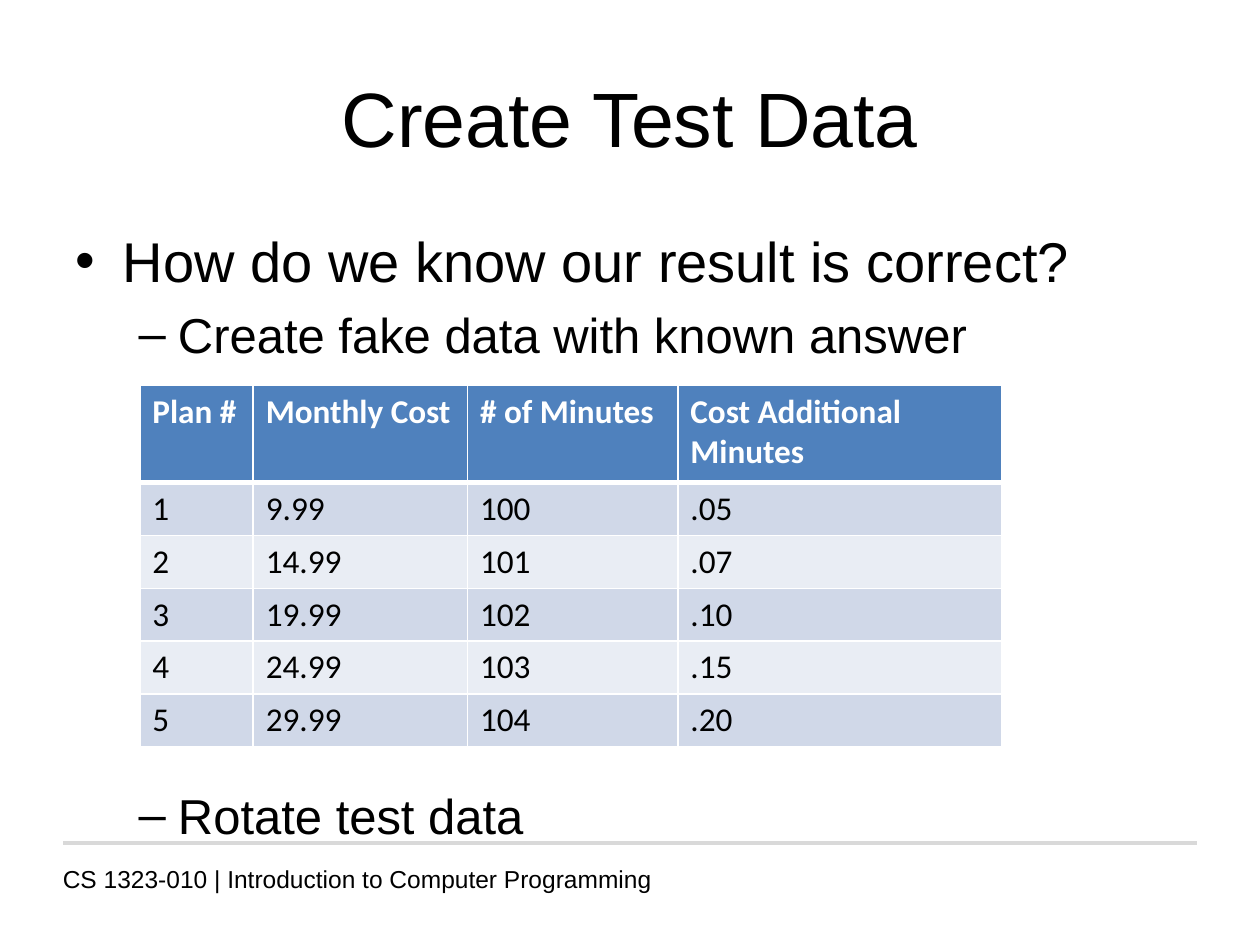
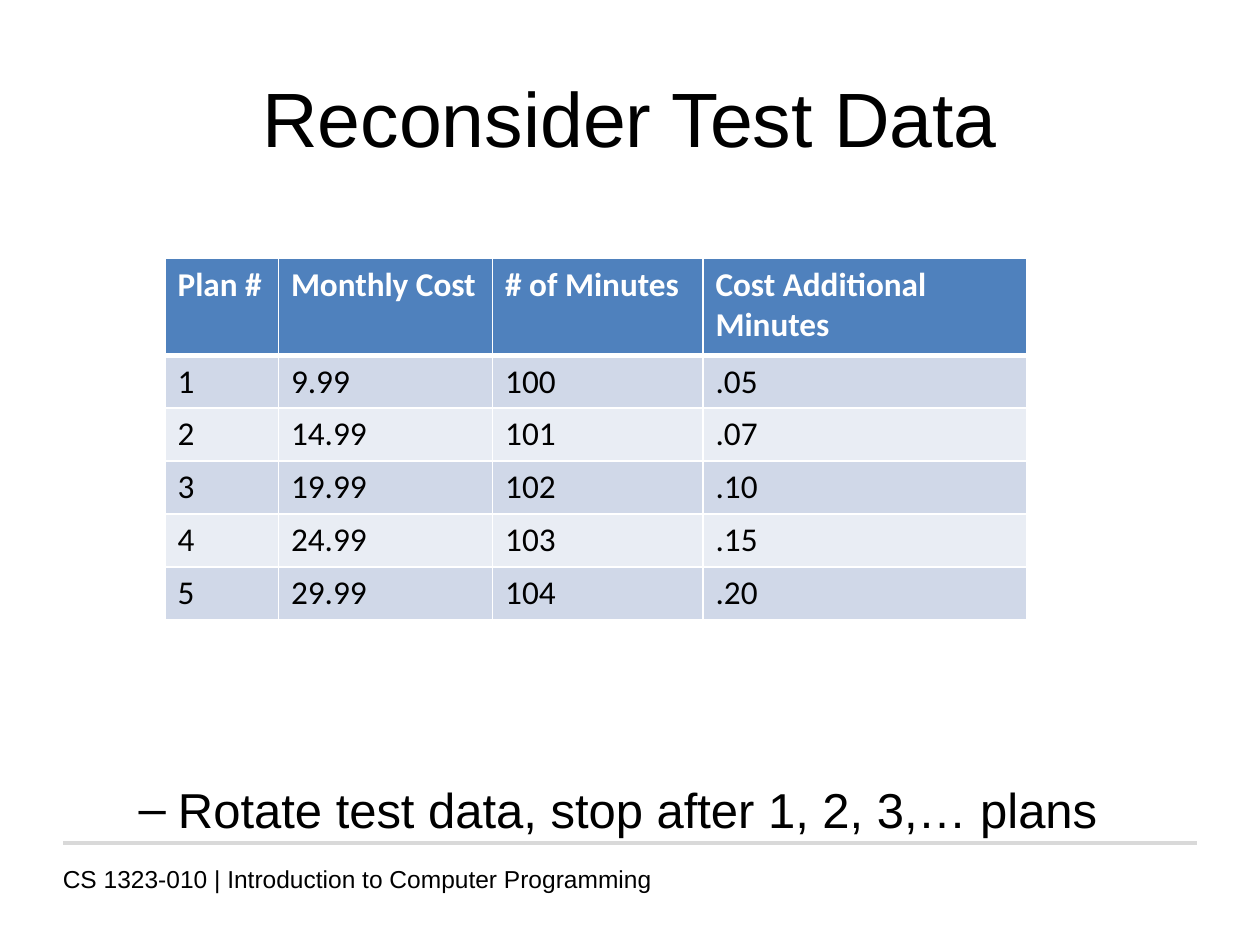
"""Two lecture slides on choosing test data for phone plans."""
from lxml import etree
from pptx import Presentation
from pptx import util as u
from pptx.dml.color import RGBColor
from pptx.enum import shapes, text
from pptx.oxml import ns

BLACK = RGBColor(0x00, 0x00, 0x00)
WHITE = RGBColor(0xFF, 0xFF, 0xFF)
RULE_GREY = RGBColor(0xD9, 0xD9, 0xD9)
HEADER_BLUE = RGBColor(0x4F, 0x81, 0xBD)
BANDS = (RGBColor(0xD0, 0xD8, 0xE8), RGBColor(0xE9, 0xED, 0xF4))

WIDTH, HEIGHT = u.Inches(10), u.Inches(7.5)
MARGIN = 0.05
CONTENT = 1 - 2 * MARGIN

TITLE = {"name": "Arial", "size": u.Pt(44)}
POINT = {"name": "Arial", "size": u.Pt(32)}
SUBPOINT = {"name": "Arial", "size": u.Pt(28)}
FOOTER = {"name": "Arial", "size": u.Pt(14)}
HEADING = {"name": "Calibri", "size": u.Pt(19), "bold": True}
VALUE = {"name": "Calibri", "size": u.Pt(19), "bold": False}
LEVELS = (POINT, SUBPOINT)

COURSE = "CS 1323-010 | Introduction to Computer Programming"
COLUMN_WIDTHS = (0.9, 1.7, 1.67, 2.57)
HEADER_HEIGHT, PLAN_HEIGHT = 0.77, 0.42
PLANS = (
    ("Plan #", "Monthly Cost", "# of Minutes", "Cost Additional Minutes"),
    ("1", "9.99", "100", ".05"),
    ("2", "14.99", "101", ".07"),
    ("3", "19.99", "102", ".10"),
    ("4", "24.99", "103", ".15"),
    ("5", "29.99", "104", ".20"),
)


def write(paragraph, words, style, color=BLACK):
    """Put one formatted run into a paragraph."""
    run = paragraph.add_run()
    run.text = words
    for attribute, setting in style.items():
        setattr(run.font, attribute, setting)
    run.font.color.rgb = color


def place(part, left, top, width, height):
    """Set a part's frame in shares of the slide."""
    frame = {"left": left * WIDTH, "top": top * HEIGHT,
             "width": width * WIDTH, "height": height * HEIGHT}
    for attribute, length in frame.items():
        setattr(part, attribute, round(length))


def add_title(slide, words):
    """Fill the title placeholder."""
    heading = slide.shapes.title
    place(heading, MARGIN, 0.04, CONTENT, 1 / 6)
    heading.text_frame.vertical_anchor = text.MSO_ANCHOR.MIDDLE
    paragraph = heading.text_frame.paragraphs[0]
    paragraph.alignment = text.PP_ALIGN.CENTER
    write(paragraph, words, TITLE)


def add_points(slide, points, anchor):
    """Fill the body placeholder from (level, words, points of gap above)."""
    body = slide.placeholders[1]
    place(body, MARGIN, 7 / 30, CONTENT, 0.66)
    settings = {"auto_size": text.MSO_AUTO_SIZE.NONE, "vertical_anchor": anchor,
                "margin_top": u.Inches(0.05)}
    for attribute, setting in settings.items():
        setattr(body.text_frame, attribute, setting)
    for index, (level, words, gap) in enumerate(points):
        paragraph = (body.text_frame.add_paragraph() if index
                     else body.text_frame.paragraphs[0])
        paragraph.level = level
        paragraph.space_before = u.Pt(gap)
        write(paragraph, words, LEVELS[level])


def add_footer(slide):
    """Draw the rule and the course name below it."""
    rule_y = u.Inches(6.69)
    rule = slide.shapes.add_connector(
        shapes.MSO_CONNECTOR.STRAIGHT, round(MARGIN * WIDTH), rule_y,
        round((1 - MARGIN) * WIDTH), rule_y)
    rule.line.color.rgb = RULE_GREY
    rule.line.width = u.Pt(2)
    etree.SubElement(rule._element.spPr, ns.qn("a:effectLst"))
    course = slide.shapes.add_textbox(0, 0, 0, 0)
    place(course, 0.04, 6.81 / 7.5, CONTENT, 0.28 / 7.5)
    course.text_frame.word_wrap = True
    write(course.text_frame.paragraphs[0], COURSE, FOOTER)


def add_borders(cell, top, bottom):
    """Give a cell white borders, one point wide at the sides."""
    properties = cell._tc.get_or_add_tcPr()
    for side, points in {"L": 1, "R": 1, "T": top, "B": bottom}.items():
        border = etree.SubElement(properties, ns.qn(f"a:ln{side}"), w=str(u.Pt(points)))
        fill = etree.SubElement(border, ns.qn("a:solidFill"))
        etree.SubElement(fill, ns.qn("a:srgbClr"), val=str(WHITE))


def add_plans(slide, left, top):
    """Draw the table of phone plans at a corner given in inches."""
    heights = [HEADER_HEIGHT] + [PLAN_HEIGHT] * (len(PLANS) - 1)
    plans = slide.shapes.add_table(
        len(PLANS), len(COLUMN_WIDTHS), u.Inches(left), u.Inches(top),
        u.Inches(sum(COLUMN_WIDTHS)), u.Inches(sum(heights))).table
    for column, width in zip(plans.columns, COLUMN_WIDTHS):
        column.width = u.Inches(width)
    for index, (row, values) in enumerate(zip(plans.rows, PLANS)):
        row.height = u.Inches(heights[index])
        style, color, band = ((VALUE, BLACK, BANDS[(index - 1) % 2]) if index
                              else (HEADING, WHITE, HEADER_BLUE))
        for cell, value in zip(row.cells, values):
            add_borders(cell, 3 if index == 1 else 1, 1 if index else 3)
            cell.fill.solid()
            cell.fill.fore_color.rgb = band
            write(cell.text_frame.paragraphs[0], value, style, color)


def add_lesson(deck, title, points, anchor, table_corner):
    """Add one slide with title, list, plan table and footer."""
    slide = deck.slides.add_slide(deck.slide_layouts[1])
    add_footer(slide)
    add_title(slide, title)
    add_points(slide, points, anchor)
    add_plans(slide, *table_corner)


def main():
    """Build and save both slides."""
    deck = Presentation()
    deck.slide_width, deck.slide_height = WIDTH, HEIGHT
    add_lesson(deck, "Create Test Data",
               ((0, "How do we know our result is correct?", 0),
                (1, "Create fake data with known answer", 6),
                (1, "Rotate test data", 241)),
               text.MSO_ANCHOR.TOP, (1.11, 3.06))
    add_lesson(deck, "Reconsider Test Data",
               ((1, "Rotate test data, stop after 1, 2, 3,… plans", 0),),
               text.MSO_ANCHOR.BOTTOM, (1.31, 2.05))
    deck.save("out.pptx")


if __name__ == "__main__":
    main()
